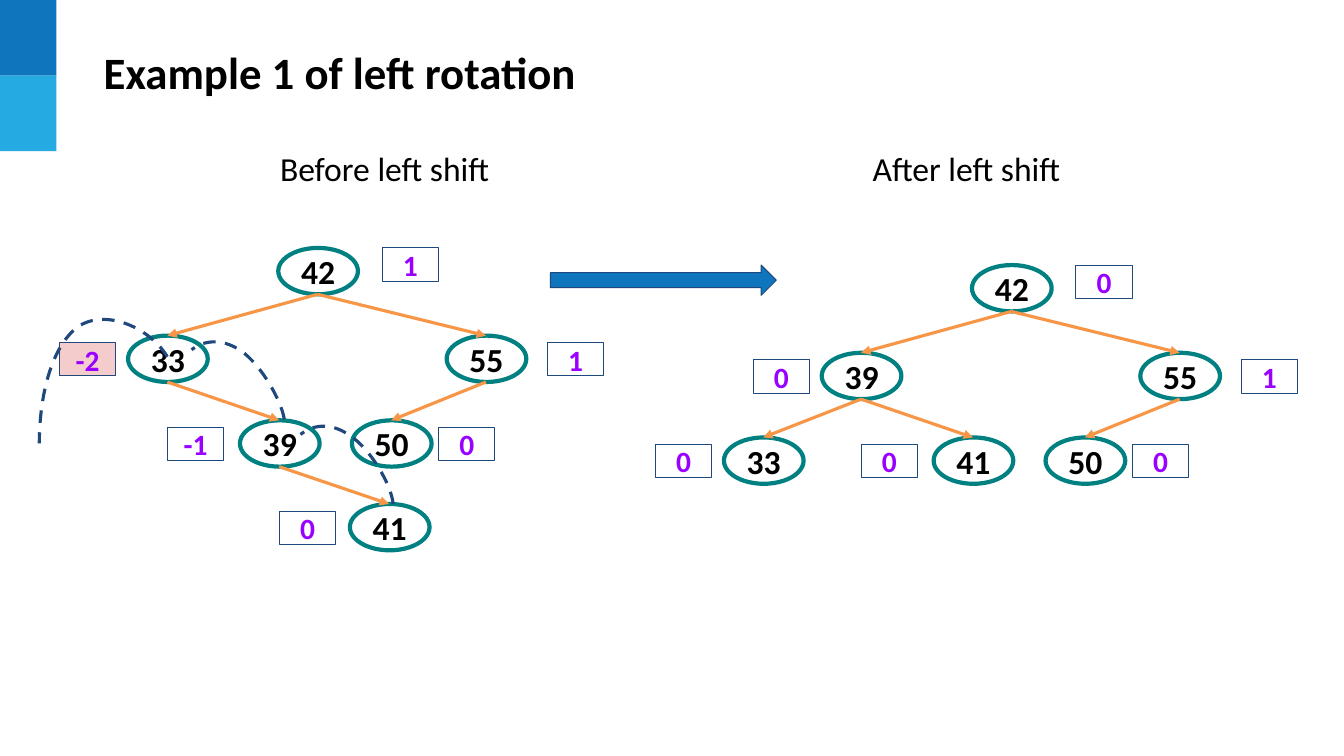
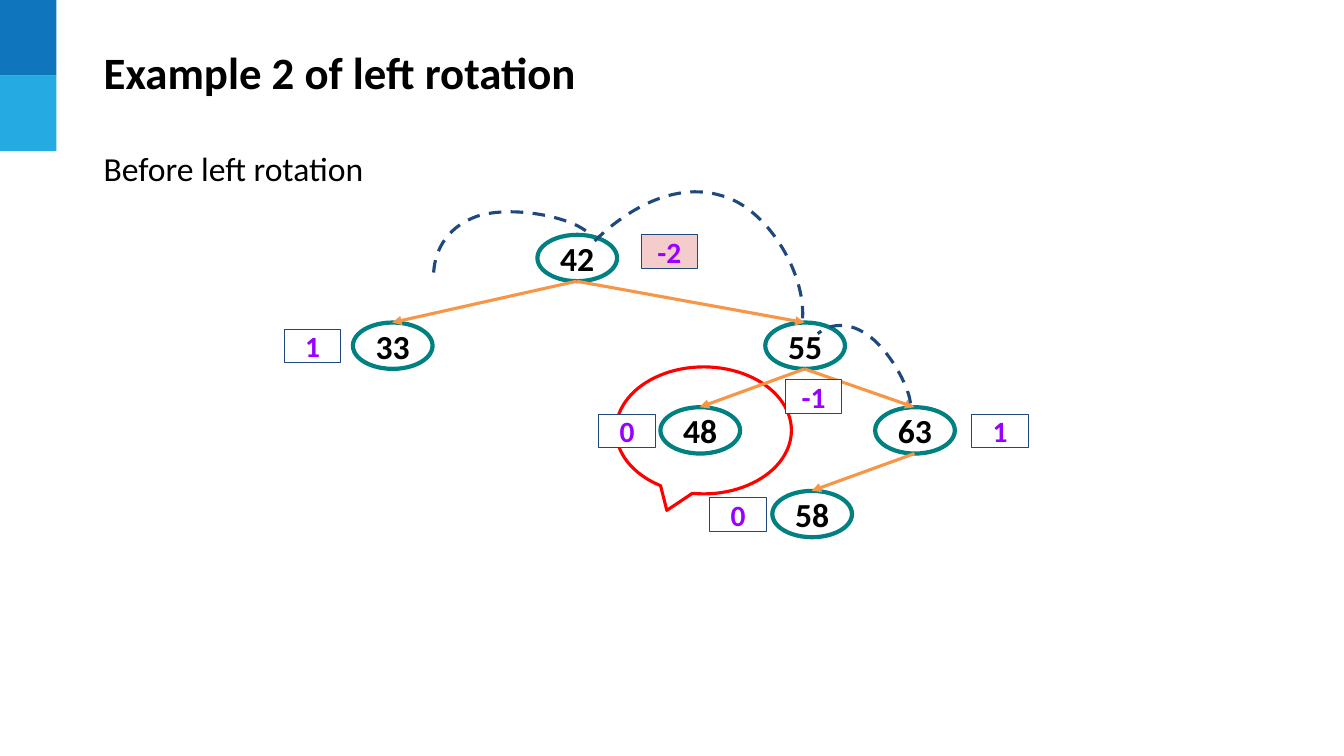
from math import cos, radians, sin

from lxml import etree
from pptx import Presentation
from pptx import util as u
from pptx.dml.color import RGBColor
from pptx.enum import dml, shapes, text
from pptx.oxml.ns import qn

PX = 9144  # EMU per px, 100 px to the inch
FONT = "Calibri"
HUES = {
    "blue": "0F75BD", "sky": "25AAE2", "navy": "1F497D", "teal": "008080",
    "amber": "F79646", "red": "FF0000", "pink": "F4CCCC", "plum": "9900FF",
    "black": "000000", "white": "FFFFFF",
}
KIND = shapes.MSO_SHAPE
LEFT, MID = text.PP_ALIGN.LEFT, text.PP_ALIGN.CENTER
NODE_W, NODE_H = 79, 46
TAG_W, TAG_H = 56, 33
ROWS = (0, 87, 171, 254)  # top of each tree level below the root's top

# Trees: value, parent, level, left, balance, balance offset (x, y)
BEFORE = [
    (42, None, 0, 276, "1", 103, 0),
    (33, 42, 1, 127, "-2", -68, 7),
    (55, 42, 1, 443, "1", 100, 7),
    (39, 33, 2, 238, "-1", -72, 7),
    (50, 55, 2, 349, "0", 86, 7),
    (41, 39, 3, 347, "0", -70, 7),
]
AFTER = [
    (42, None, 0, 964, "0", 103, 0),
    (39, 42, 1, 815, "0", -68, 7),
    (55, 42, 1, 1131, "1", 100, 7),
    (33, 39, 2, 718, "0", -68, 7),
    (41, 39, 2, 926, "0", -72, 7),
    (50, 55, 2, 1037, "0", 86, 7),
]
SECOND = [
    (42, None, 0, 533, "-2", 103, 0),
    (33, 42, 1, 350, "1", -68, 7),
    (55, 42, 1, 759, "-1", 20, 57),
    (48, 55, 2, 655, "0", -61, 7),
    (63, 55, 2, 868, "1", 96, 7),
    (58, 63, 3, 766, "0", -62, 7),
]

# Dashed arcs: box, turn in degrees, then a start point and two cubic pieces
ARCS_1 = [
    ((39, 316, 127, 124), 0,
     [(166, 354), (147, 323), (101, 305), (75, 326), (48, 349), (39, 400), (39, 440)]),
    ((185, 357, 111, 41), 51.4,
     [(282, 416), (279, 397), (259, 362), (239, 348), (218, 334), (200, 339), (190, 347)]),
    ((293, 441, 111, 41), 51.4,
     [(390, 500), (388, 480), (367, 445), (347, 432), (327, 418), (309, 422), (298, 431)]),
]
ARCS_2 = [
    ((430, 210, 151, 64), 0,
     [(581, 229), (559, 213), (503, 204), (472, 215), (440, 227), (430, 253), (430, 274)]),
    ((607, 197, 200, 133), 45,
     [(796, 316), (799, 271), (761, 206), (715, 194), (668, 180), (620, 209), (589, 240)]),
    ((806, 341, 111, 41), 51.4,
     [(903, 400), (901, 381), (880, 345), (860, 332), (840, 318), (822, 322), (811, 331)]),
]


def px(*vals):
    return [u.Emu(round(v * PX)) for v in vals]


def hue(name):
    return RGBColor.from_string(HUES[name])


def write(shape, words, size=24, color="black", bold=False, align=MID,
          anchor=text.MSO_ANCHOR.MIDDLE, pad=5):
    """Set the text of a shape; pad is its top and bottom inset."""
    frame = shape.text_frame
    frame.word_wrap = True
    frame.vertical_anchor = anchor
    frame.margin_left, frame.margin_right = px(10, 10)
    frame.margin_top, frame.margin_bottom = px(pad, pad)
    para = frame.paragraphs[0]
    para.alignment = align
    run = para.add_run()
    run.text = words
    font = run.font
    font.name, font.size, font.bold = FONT, u.Pt(size), bold
    font.color.rgb = hue(color)


def stroke(shape, color, width):
    shape.line.color.rgb = hue(color)
    shape.line.width = u.Pt(width)


def form(slide, kind, box, fill, line=None, width=0.75):
    shape = slide.shapes.add_shape(kind, *px(*box))
    shape.shadow.inherit = False
    shape.fill.solid()
    shape.fill.fore_color.rgb = hue(fill)
    if line:
        stroke(shape, line, width)
    else:
        shape.line.fill.background()
    return shape


def label(slide, words, box, **style):
    write(slide.shapes.add_textbox(*px(*box)), words, **style)


def head(slide, words, box, align=MID):
    label(slide, words, box, align=align, anchor=text.MSO_ANCHOR.TOP, pad=10)


def edge(slide, start, end):
    line = slide.shapes.add_connector(
        shapes.MSO_CONNECTOR.STRAIGHT, *px(*start, *end))
    stroke(line, "amber", 2.25)
    etree.SubElement(line.line._get_or_add_ln(), qn("a:tailEnd"), type="triangle")
    etree.SubElement(line._element.spPr, qn("a:effectLst"))


def unturn(point, box, turn):
    """Turn a point back about the centre of its box."""
    x, y, w, h = box
    mx, my = x + w / 2, y + h / 2
    dx, dy = point[0] - mx, point[1] - my
    c, s = cos(radians(turn)), sin(radians(turn))
    return px(mx + dx * c + dy * s, my - dx * s + dy * c)


def arc(slide, box, turn, pts):
    flat = [unturn(p, box, turn) for p in pts]
    pen = slide.shapes.build_freeform(*flat[0])
    pen.add_line_segments(flat[1:], close=False)
    curve = pen.convert_to_shape()
    curve.left, curve.top, curve.width, curve.height = px(*box)
    curve.rotation = turn
    curve.shadow.inherit = False
    curve.fill.background()
    stroke(curve, "navy", 2.25)
    curve.line.dash_style = dml.MSO_LINE.DASH
    # Each three steps become one cubic piece, measured from the box
    trail = next(curve._element.iter(qn("a:path")))
    trail.set("w", str(curve.width))
    trail.set("h", str(curve.height))
    spots = list(trail.iter(qn("a:pt")))
    for spot, (x, y) in zip(spots, flat):
        spot.set("x", str(x - curve.left))
        spot.set("y", str(y - curve.top))
    for step in trail.findall(qn("a:lnTo")):
        trail.remove(step)
    for i in range(1, len(spots), 3):
        etree.SubElement(trail, qn("a:cubicBezTo")).extend(spots[i:i + 3])


def tree(slide, top, nodes):
    spots = {}
    # Nodes, each joined to its parent
    for value, parent, row, x, *_ in nodes:
        y = top + ROWS[row]
        spots[value] = (x + NODE_W // 2, y)
        oval = form(slide, KIND.OVAL, (x, y, NODE_W, NODE_H), "white", "teal", 3)
        write(oval, str(value), bold=True)
        if parent:
            up_x, up_y = spots[parent]
            edge(slide, (up_x, up_y + NODE_H), spots[value])
    # Balance factors
    for _, _, row, x, factor, dx, dy in nodes:
        box = (x + dx, top + ROWS[row] + dy, TAG_W, TAG_H)
        fill = "pink" if factor == "-2" else "white"
        tag = form(slide, KIND.RECTANGLE, box, fill, "navy")
        write(tag, factor, size=21, color="plum", bold=True, pad=10)


def page(deck, title):
    slide = deck.slides.add_slide(deck.slide_layouts[6])
    for i, color in enumerate(("blue", "sky")):
        form(slide, KIND.RECTANGLE, (0, 75 * i, 56, 75), color)
    label(slide, title, (93, 39, 1162, 64), size=32, bold=True, align=LEFT)
    return slide


def first(deck):
    slide = page(deck, "Example 1 of left rotation")
    head(slide, "Before left shift", (90, 137, 583, 61))
    head(slide, "After left shift", (667, 137, 583, 61))
    tree(slide, 246, BEFORE)
    tree(slide, 263, AFTER)
    form(slide, KIND.RIGHT_ARROW, (546, 263, 224, 30), "blue", "navy")
    for item in ARCS_1:
        arc(slide, *item)


def second(deck):
    slide = page(deck, "Example 2 of left rotation")
    head(slide, "Before left rotation", (93, 137, 1157, 61), align=LEFT)
    # Callout behind the moving node
    call = form(slide, KIND.OVAL_CALLOUT, (611, 364, 174, 126), "white", "red", 2.25)
    call.adjustments[0], call.adjustments[1] = -0.21, 0.63
    tree(slide, 233, SECOND)
    for item in ARCS_2:
        arc(slide, *item)


def main():
    deck = Presentation()
    deck.slide_width, deck.slide_height = px(1333, 750)
    first(deck)
    second(deck)
    deck.save("out.pptx")


if __name__ == "__main__":
    main()
